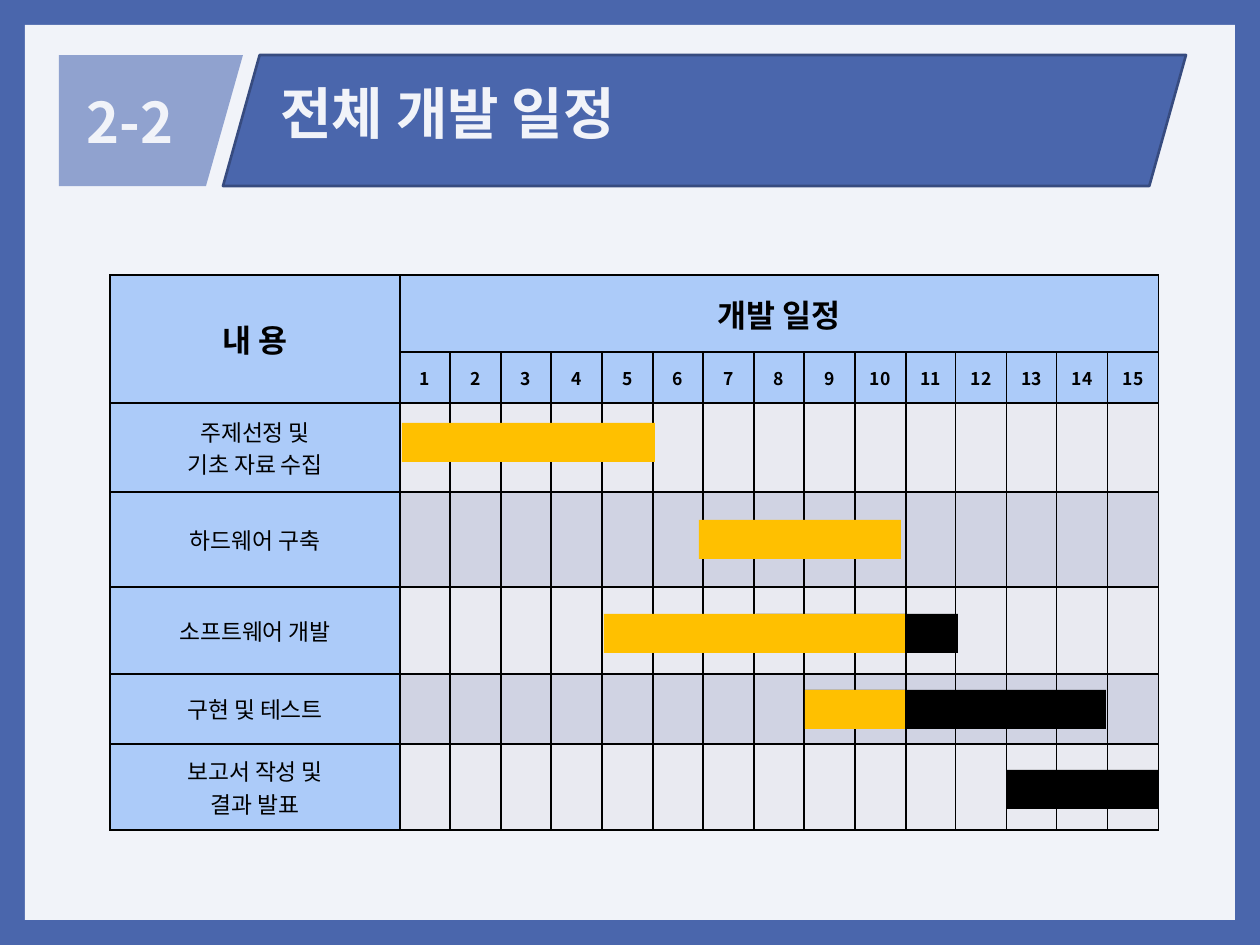
from dataclasses import dataclass

import pptx
import pptx.dml.color
import pptx.enum.shapes
import pptx.enum.text
import pptx.oxml
import pptx.oxml.ns
import pptx.util
from lxml import etree

PX = 914400 / 126
FONT = "Noto Sans CJK KR"
BLUE, DARK_BLUE, SOFT_BLUE = "4A66AC", "374B7F", "90A2CF"
PAPER, HEADER, BLACK, AMBER = "F1F3F9", "ACCBF9", "000000", "FFC000"
BANDS = ("E9EAF1", "D0D3E3")

COLUMNS = 15
TABLE_LEFT, TABLE_TOP = 110, 275
GRID_LEFT, GRID_WIDTH = 400, 759
ROW_HEIGHTS = (77, 51, 89, 95, 87, 70, 86)
BAR_HEIGHT = 39


@dataclass
class Task:
    lines: tuple[str, ...]


@dataclass
class Bar:
    left: int
    top: int
    width: int
    fill: str


TASKS = (
    Task(("주제선정 및", "기초 자료 수집")),
    Task(("하드웨어 구축",)),
    Task(("소프트웨어 개발",)),
    Task(("구현 및 테스트",)),
    Task(("보고서 작성 및", "결과 발표")),
)

# Bars from back to front
BARS = (
    Bar(402, 423, 253, AMBER),
    Bar(699, 520, 202, AMBER),
    Bar(756, 614, 202, BLACK),
    Bar(604, 614, 301, AMBER),
    Bar(805, 690, 301, BLACK),
    Bar(805, 690, 100, AMBER),
    Bar(1007, 770, 152, BLACK),
)


def px(length: int) -> pptx.util.Emu:
    return pptx.util.Emu(round(length * PX))


def color(value: str) -> pptx.dml.color.RGBColor:
    return pptx.dml.color.RGBColor.from_string(value)


def paint(shape, fill: str, line: str | None = None) -> None:
    shape.shadow.inherit = False
    shape.fill.solid()
    shape.fill.fore_color.rgb = color(fill)
    if line:
        shape.line.color.rgb = color(line)
        shape.line.width = pptx.util.Pt(1.5)
    else:
        shape.line.fill.background()


def add_box(page, kind, left: int, top: int, width: int, height: int,
            fill: str, line: str | None = None):
    box = page.shapes.add_shape(kind, px(left), px(top), px(width), px(height))
    paint(box, fill, line)
    return box


def add_span(para, text: str, size: int, fill: str, bold: bool):
    span = para.add_run()
    span.text = text
    span.font.size = pptx.util.Pt(size)
    span.font.bold = bold
    span.font.color.rgb = color(fill)
    span.font.name = FONT
    east_asian = etree.SubElement(span.font._element, pptx.oxml.ns.qn("a:ea"))
    east_asian.set("typeface", FONT)
    return span


def add_heading(page, left: int, top: int, width: int, text: str) -> None:
    box = page.shapes.add_textbox(px(left), px(top), px(width), px(81))
    frame = box.text_frame
    frame.word_wrap = True
    frame.auto_size = pptx.enum.text.MSO_AUTO_SIZE.SHAPE_TO_FIT_TEXT
    span = add_span(frame.paragraphs[0], text, 32, PAPER, True)
    outline = pptx.oxml.parse_xml(
        f'<a:ln {pptx.oxml.ns.nsdecls("a")} w="6600"><a:solidFill>'
        f'<a:srgbClr val="{BLACK}"/></a:solidFill></a:ln>')
    span.font._element.insert(0, outline)


def style_cell(cell, fill: str) -> None:
    cell.fill.solid()
    cell.fill.fore_color.rgb = color(fill)
    cell.vertical_anchor = pptx.enum.text.MSO_ANCHOR.MIDDLE
    borders = cell._tc.get_or_add_tcPr()
    for index, side in enumerate(("lnL", "lnR", "lnT", "lnB")):
        borders.insert(index, pptx.oxml.parse_xml(
            f'<a:{side} {pptx.oxml.ns.nsdecls("a")} w="12700"><a:solidFill>'
            f'<a:srgbClr val="{BLACK}"/></a:solidFill></a:{side}>'))


def write_cell(cell, lines: tuple[str, ...], size: int, bold: bool) -> None:
    frame = cell.text_frame
    for index, text in enumerate(lines):
        para = frame.add_paragraph() if index else frame.paragraphs[0]
        para.alignment = pptx.enum.text.PP_ALIGN.CENTER
        add_span(para, text, size, BLACK, bold)


def add_schedule(page) -> None:
    edges = [TABLE_LEFT] + [GRID_LEFT + GRID_WIDTH * number // COLUMNS
                            for number in range(COLUMNS + 1)]
    table = page.shapes.add_table(
        len(ROW_HEIGHTS), COLUMNS + 1, px(TABLE_LEFT), px(TABLE_TOP),
        px(edges[-1] - TABLE_LEFT), px(sum(ROW_HEIGHTS))).table
    for column, left, right in zip(table.columns, edges, edges[1:]):
        column.width = px(right - left)
    for row, height in zip(table.rows, ROW_HEIGHTS):
        row.height = px(height)

    for row in range(len(ROW_HEIGHTS)):
        for column in range(COLUMNS + 1):
            is_header = row < 2 or column == 0
            style_cell(table.cell(row, column), HEADER if is_header else BANDS[row % 2])

    table.cell(0, 0).merge(table.cell(1, 0))
    table.cell(0, 1).merge(table.cell(0, COLUMNS))
    write_cell(table.cell(0, 0), ("내 용",), 18, True)
    write_cell(table.cell(0, 1), ("개발 일정",), 18, True)
    for number in range(1, COLUMNS + 1):
        write_cell(table.cell(1, number), (str(number),), 10, True)
    for row, task in enumerate(TASKS, start=2):
        write_cell(table.cell(row, 0), task.lines, 13, False)


def main() -> None:
    deck = pptx.Presentation()
    deck.slide_width, deck.slide_height = px(1260), px(945)
    page = deck.slides.add_slide(deck.slide_layouts[6])
    shapes = pptx.enum.shapes.MSO_SHAPE

    # Blue frame around the page
    page.background.fill.solid()
    page.background.fill.fore_color.rgb = color(BLUE)
    add_box(page, shapes.RECTANGLE, 25, 25, 1210, 895, PAPER)

    # Title banner and section number
    banner = add_box(page, shapes.PARALLELOGRAM, 223, 55, 963, 131, BLUE, DARK_BLUE)
    banner.adjustments[0] = 0.28
    add_heading(page, 268, 72, 878, "전체 개발 일정")
    outline = page.shapes.build_freeform(59, 55, scale=PX)
    outline.add_line_segments([(243, 55), (206, 186), (59, 186)], close=True)
    paint(outline.convert_to_shape(), SOFT_BLUE)
    add_heading(page, 74, 81, 179, "2-2")

    # Schedule grid and its bars
    add_schedule(page)
    for bar in BARS:
        add_box(page, shapes.RECTANGLE, bar.left, bar.top, bar.width, BAR_HEIGHT, bar.fill)

    deck.save("out.pptx")


if __name__ == "__main__":
    main()
